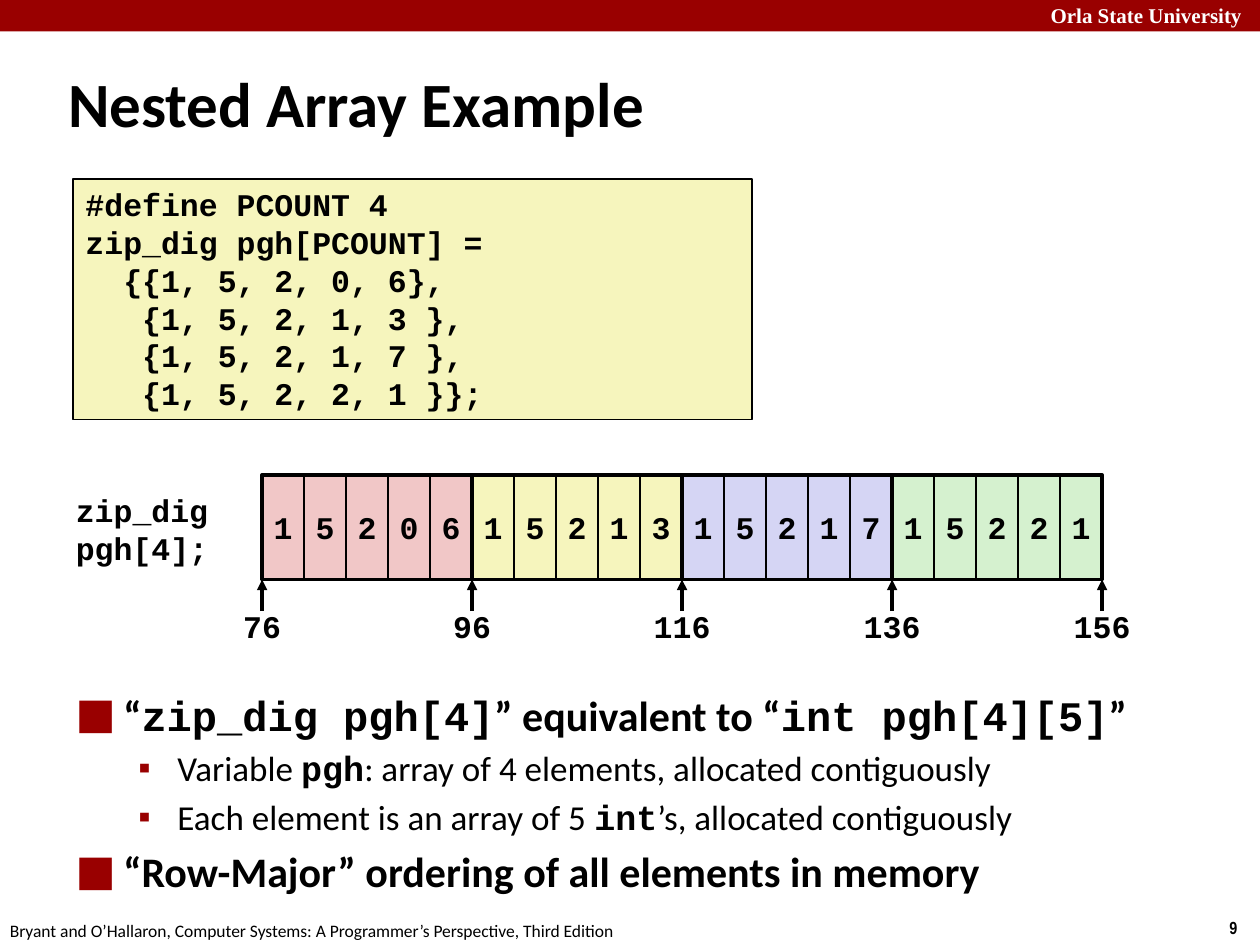
from dataclasses import dataclass

from lxml import etree
from pptx import Presentation
from pptx.dml.color import RGBColor
from pptx.enum import shapes, text
from pptx.oxml import ns
from pptx.util import Inches, Pt


@dataclass(frozen=True)
class Theme:
    black: str = "000000"
    white: str = "FFFFFF"
    accent: str = "990000"
    code_fill: str = "F6F5BD"
    row_fills: tuple = ("F1C7C7", "F6F5BD", "D5D5F4", "D5F1CF")
    sans: str = "Calibri"
    mono: str = "Courier New"
    serif: str = "Times New Roman"
    narrow: str = "Arial Narrow"
    marker: str = "Arial"
    title: int = 36
    bullet: int = 24
    sub_bullet: int = 20
    code: int = 18
    header: int = 12
    footer: int = 10


THEME = Theme()
LEFT, CENTER, RIGHT = text.PP_ALIGN.LEFT, text.PP_ALIGN.CENTER, text.PP_ALIGN.RIGHT

CODE = [
    "#define PCOUNT 4",
    "zip_dig pgh[PCOUNT] =",
    "  {{1, 5, 2, 0, 6},",
    "   {1, 5, 2, 1, 3 },",
    "   {1, 5, 2, 1, 7 },",
    "   {1, 5, 2, 2, 1 }};",
]
ROWS = ["15206", "15213", "15217", "15221"]
# Level and runs; every second run is code
BULLETS = [
    (0, ["“", "zip_dig pgh[4]", "” equivalent to “", "int pgh[4][5]", "”"]),
    (1, ["Variable ", "pgh", ": array of 4 elements, allocated contiguously"]),
    (1, ["Each element is an array of 5 ", "int", "’s, allocated contiguously"]),
    (0, ["“Row-Major” ordering of all elements in memory"]),
]

# Memory diagram, in inches
ARRAY_LEFT, ARRAY_TOP, CELL_HEIGHT = 2.08, 3.77, 0.83
CELL_WIDTH = 1 / 3
ROW_WIDTH = 5 * CELL_WIDTH
FIRST_ADDRESS, ROW_BYTES = 76, 20


def add_run(paragraph, words, size, font, color=THEME.black, bold=True):
    run = paragraph.add_run()
    run.text = words
    run.font.size = Pt(size)
    run.font.name = font
    run.font.bold = bold
    run.font.color.rgb = RGBColor.from_string(color)


def write_lines(frame, lines, size, font, align=LEFT, **style):
    for i, line in enumerate(lines):
        paragraph = frame.add_paragraph() if i else frame.paragraphs[0]
        paragraph.alignment = align
        add_run(paragraph, line, size, font, **style)


def add_label(slide, box, lines, size, font, align=LEFT, **style):
    label = slide.shapes.add_textbox(*map(Inches, box))
    label.text_frame.word_wrap = True
    write_lines(label.text_frame, lines, size, font, align, **style)


def add_box(parent, box, fill=None, line=None):
    rect = parent.shapes.add_shape(shapes.MSO_SHAPE.RECTANGLE, *map(Inches, box))
    rect.shadow.inherit = False
    if fill:
        rect.fill.solid()
        rect.fill.fore_color.rgb = RGBColor.from_string(fill)
    else:
        rect.fill.background()
    if line:
        rect.line.color.rgb = RGBColor.from_string(THEME.black)
        rect.line.width = Pt(line)
    else:
        rect.line.fill.background()
    return rect


def add_arrow(slide, x, start, end):
    arrow = slide.shapes.add_connector(
        shapes.MSO_CONNECTOR.STRAIGHT, Inches(x), Inches(start), Inches(x), Inches(end))
    arrow.line.color.rgb = RGBColor.from_string(THEME.black)
    arrow.line.width = Pt(2)
    etree.SubElement(arrow.line._get_or_add_ln(), ns.qn("a:tailEnd"), type="triangle")
    etree.SubElement(arrow._element.spPr, ns.qn("a:effectLst"))


def set_bullet(paragraph, char, margin, hanging, percent):
    props = paragraph._p.get_or_add_pPr()
    props.set("marL", str(Inches(margin)))
    props.set("indent", str(-Inches(hanging)))
    color = etree.SubElement(props, ns.qn("a:buClr"))
    etree.SubElement(color, ns.qn("a:srgbClr"), val=THEME.accent)
    etree.SubElement(props, ns.qn("a:buSzPct"), val=str(percent * 1000))
    etree.SubElement(props, ns.qn("a:buFont"), typeface=THEME.marker)
    etree.SubElement(props, ns.qn("a:buChar"), char=char)


def add_frame(slide):
    add_box(slide, (0, 0, 10, 0.25), THEME.accent)
    add_label(slide, (8.24, -0.03, 1.83, 0.3), ["Orla State University"],
              THEME.header, THEME.serif, color=THEME.white)
    add_label(slide, (9.66, 7.23, 0.34, 0.27), ["9"], THEME.footer, THEME.narrow)
    add_label(slide, (-0.02, 7.25, 5.08, 0.27),
              ["Bryant and O’Hallaron, Computer Systems: "
               "A Programmer’s Perspective, Third Edition"],
              THEME.footer, THEME.sans, bold=False)


def add_title(slide):
    title = slide.shapes.title
    title.left, title.top, title.width, title.height = map(Inches, (0.44, 0.5, 6.97, 0.63))
    title.text_frame.auto_size = text.MSO_AUTO_SIZE.NONE
    title.text_frame.vertical_anchor = text.MSO_ANCHOR.MIDDLE
    write_lines(title.text_frame, ["Nested Array Example"], THEME.title, THEME.sans)


def add_code(slide):
    listing = add_box(slide, (0.58, 1.42, 5.39, 1.91), THEME.code_fill, 1)
    listing.text_frame.vertical_anchor = text.MSO_ANCHOR.TOP
    write_lines(listing.text_frame, CODE, THEME.code, THEME.mono)


def add_row(slide, left, digits, fill):
    row = slide.shapes.add_group_shape()
    for i, digit in enumerate(digits):
        cell = add_box(row, (left + i * CELL_WIDTH, ARRAY_TOP, CELL_WIDTH, CELL_HEIGHT), fill, 1)
        frame = cell.text_frame
        frame.margin_left = frame.margin_right = 0
        frame.vertical_anchor = text.MSO_ANCHOR.MIDDLE
        write_lines(frame, [digit], THEME.code, THEME.mono, CENTER)


def add_memory(slide):
    add_label(slide, (0.5, 3.85, 1.25, 0.7), ["zip_dig", "pgh[4];"],
              THEME.code, THEME.mono, RIGHT)
    edges = [ARRAY_LEFT + i * ROW_WIDTH for i in range(len(ROWS) + 1)]

    # Addresses at the row boundaries
    bottom = ARRAY_TOP + CELL_HEIGHT
    for i, x in enumerate(edges):
        address = str(FIRST_ADDRESS + i * ROW_BYTES)
        width = 0.2 + 0.15 * len(address)
        add_arrow(slide, x, bottom + 0.25, bottom)
        add_label(slide, (x - width / 2, 4.77, width, 0.4), [address],
                  THEME.code, THEME.mono, CENTER)

    # Cells first, then the heavy row outlines above them
    for x, digits, fill in zip(edges, ROWS, THEME.row_fills):
        add_row(slide, x, digits, fill)
    for x in edges[:-1]:
        add_box(slide, (x, ARRAY_TOP, ROW_WIDTH, CELL_HEIGHT), line=2.25)


def add_bullets(slide):
    body = slide.shapes.add_textbox(*map(Inches, (0.5, 5.42, 8.75, 2.08)))
    frame = body.text_frame
    frame.word_wrap = True
    for i, (level, runs) in enumerate(BULLETS):
        paragraph = frame.add_paragraph() if i else frame.paragraphs[0]
        paragraph.level = level
        if level:
            set_bullet(paragraph, "▪", 0.81, 0.31, 100)
        else:
            set_bullet(paragraph, "■", 0.38, 0.38, 160)
        if i:
            paragraph.space_before = Pt(4 if level else 4.8)
        size = THEME.sub_bullet if level else THEME.bullet
        for j, words in enumerate(runs):
            is_code = j % 2 == 1
            add_run(paragraph, words, size, THEME.mono if is_code else THEME.sans,
                    bold=is_code or level == 0)


def main():
    deck = Presentation()
    deck.slide_width, deck.slide_height = Inches(10), Inches(7.5)
    slide = deck.slides.add_slide(deck.slide_layouts[5])
    add_frame(slide)
    add_title(slide)
    add_code(slide)
    add_memory(slide)
    add_bullets(slide)
    deck.save("out.pptx")


if __name__ == "__main__":
    main()
